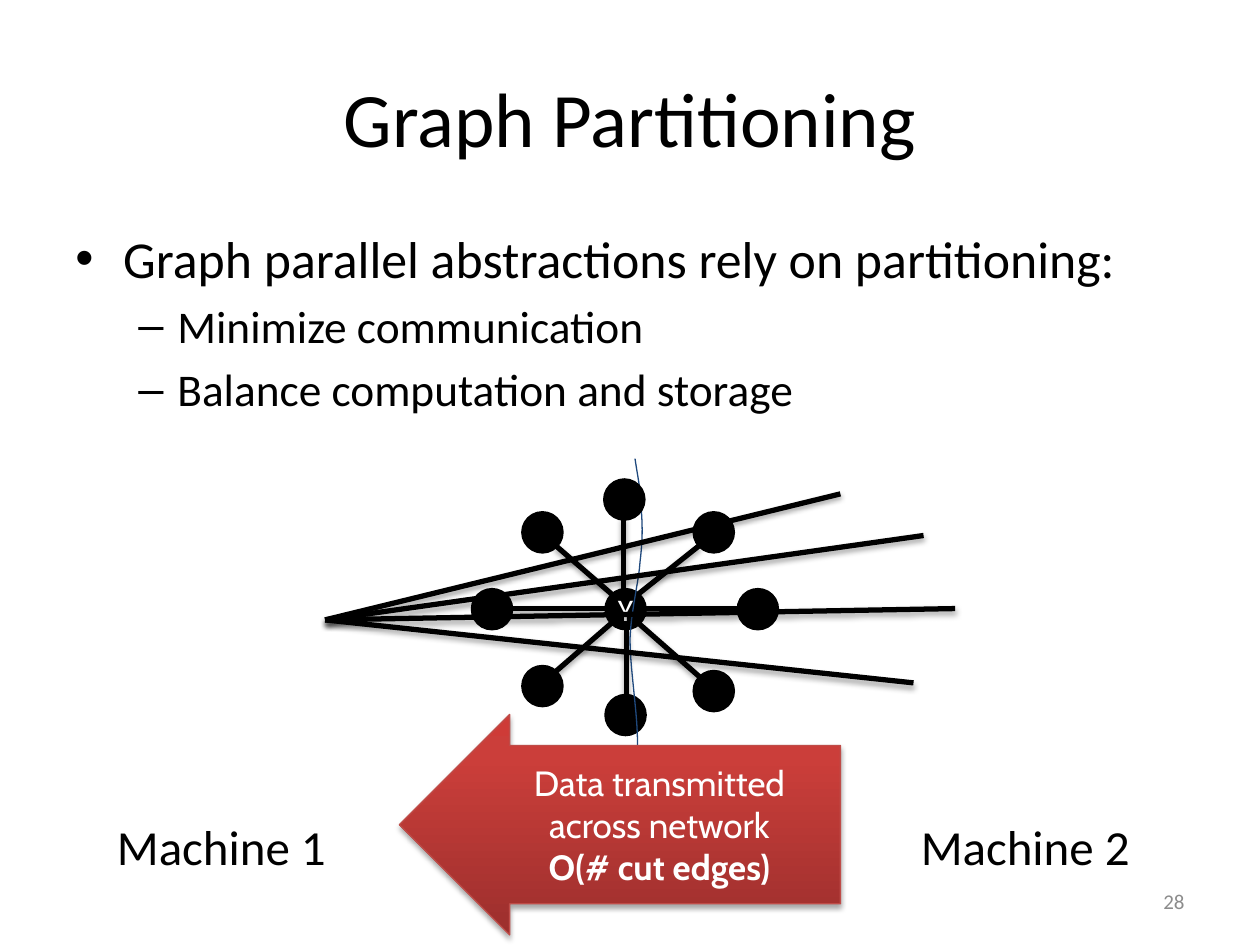
from dataclasses import dataclass

from lxml.etree import SubElement
from pptx import Presentation
from pptx.dml.color import RGBColor
from pptx.enum.shapes import MSO_CONNECTOR as Connector, MSO_SHAPE as Shape
from pptx.enum.text import MSO_ANCHOR as Anchor, PP_ALIGN as Align
from pptx.oxml import parse_xml
from pptx.oxml.ns import nsdecls, qn
from pptx.util import Inches, Pt


@dataclass(frozen=True)
class Theme:
    """Colours, fonts and type sizes of the slide."""
    ink: str = "000000"
    paper: str = "FFFFFF"
    muted: str = "8C8C8C"
    cut: str = "1F497D"
    arrow_edge: str = "BF4C48"
    arrow_stops: tuple = ((0, "9C2F2D"), (80, "CB3E3A"), (100, "CE3B37"))
    font: str = "Calibri"
    arrow_font: str = "Cabin"
    title: float = 44
    bullet: float = 29.6
    sub_bullet: float = 25.9
    machine: float = 28
    arrow: float = 20
    vertex: float = 18
    number: float = 12


THEME = Theme()
NODE = 0.31
LEFT_EDGES = [(4.41, 4.33, 4.86, 4.72), (4.05, 4.83, 4.81, 4.83),
              (4.97, 4.98, 4.97, 5.52), (4.86, 4.94, 4.41, 5.33)]
LEFT_NODES = [(4.81, 5.52), (3.75, 4.68), (4.15, 4.07), (4.15, 5.29)]
RIGHT_EDGES = [(5.06, 4.72, 5.55, 4.33), (4.95, 4.11, 4.95, 4.68),
               (5.1, 4.83, 5.86, 4.83), (5.06, 4.94, 5.55, 5.37)]
RIGHT_NODES = [(4.8, 3.81), (5.51, 5.33), (5.86, 4.68), (5.51, 4.07)]
CUT_EDGE_ORIGIN = (2.58, 4.92)
CUT_EDGE_ENDS = [(7.33, 4.25), (6.67, 3.92), (7.58, 4.83), (7.25, 5.42)]
CUT_START = (5.04, 3.64)
CUT_CURVES = [((5.06, 3.78), (5.09, 3.91), (5.09, 4.05)),
              ((5.1, 4.18), (5.1, 4.29), (5.08, 4.46)),
              ((5.07, 4.62), (5.01, 4.83), (5, 5.07)),
              ((5, 5.3), (5.06, 5.66), (5.06, 5.89)),
              ((5.06, 6.12), (5, 6.3), (5, 6.45))]


def rgb(value):
    """Turn a hex string into a colour."""
    return RGBColor.from_string(value)


def add_run(paragraph, wording, size, color=THEME.ink, font=THEME.font, bold=False):
    """Add one formatted run to a paragraph."""
    run = paragraph.add_run()
    run.text = wording
    run.font.size = Pt(size)
    run.font.name = font
    run.font.bold = bold
    run.font.color.rgb = rgb(color)


def add_label(slide, wording, box, size, align=Align.LEFT, anchor=Anchor.TOP,
              color=THEME.ink, wrap=True):
    """Add a one-paragraph text box."""
    frame = slide.shapes.add_textbox(*map(Inches, box)).text_frame
    frame.word_wrap = wrap
    frame.vertical_anchor = anchor
    frame.paragraphs[0].alignment = align
    add_run(frame.paragraphs[0], wording, size, color)


def add_bullets(slide, box, items):
    """Add a bulleted list of (wording, level, mark, margin, hang, size) items."""
    frame = slide.shapes.add_textbox(*map(Inches, box)).text_frame
    frame.word_wrap = True
    for index, (wording, level, mark, margin, hang, size) in enumerate(items):
        paragraph = frame.add_paragraph() if index else frame.paragraphs[0]
        paragraph.level = level
        if index:
            paragraph.space_before = Pt(size * 0.2)
        properties = paragraph._p.get_or_add_pPr()
        properties.set("marL", str(Inches(margin)))
        properties.set("indent", str(Inches(-hang)))
        SubElement(properties, qn("a:buFont")).set("typeface", "Arial")
        SubElement(properties, qn("a:buChar")).set("char", mark)
        add_run(paragraph, wording, size)


def add_shadow(shape):
    """Give a shape or connector a soft shadow below it."""
    shape._element.spPr.append(parse_xml(
        f'<a:effectLst {nsdecls("a")}><a:outerShdw blurRad="{Pt(3.1)}" dist="{Pt(1.8)}" '
        f'dir="5400000" rotWithShape="0"><a:srgbClr val="{THEME.ink}">'
        '<a:alpha val="35000"/></a:srgbClr></a:outerShdw></a:effectLst>'))


def add_edge(slide, x1, y1, x2, y2):
    """Draw a graph edge."""
    edge = slide.shapes.add_connector(Connector.STRAIGHT, *map(Inches, (x1, y1, x2, y2)))
    edge.line.color.rgb = rgb(THEME.ink)
    edge.line.width = Pt(3)
    add_shadow(edge)


def add_node(slide, left, top, name=None):
    """Draw a graph vertex, with its name if it has one."""
    node = slide.shapes.add_shape(Shape.OVAL, *map(Inches, (left, top, NODE, NODE)))
    node.shadow.inherit = False
    node.fill.solid()
    node.fill.fore_color.rgb = node.line.color.rgb = rgb(THEME.ink)
    node.line.width = Pt(2)
    if name:
        frame = node.text_frame
        frame.margin_left = frame.margin_right = frame.margin_top = frame.margin_bottom = 0
        frame.vertical_anchor = Anchor.MIDDLE
        frame.paragraphs[0].alignment = Align.CENTER
        add_run(frame.paragraphs[0], name, THEME.vertex, THEME.paper)


def curve_points(start, curves, steps=10):
    """List the points along a chain of cubic curves."""
    points = []
    for first, second, end in curves:
        for t in (step / steps for step in range(1, steps + 1)):
            weights = ((1 - t) ** 3, 3 * t * (1 - t) ** 2, 3 * t * t * (1 - t), t ** 3)
            corners = (start, first, second, end)
            points.append(tuple(Inches(sum(w * c[axis] for w, c in zip(weights, corners)))
                                for axis in (0, 1)))
        start = end
    return points


def add_cut(slide):
    """Draw the curve that separates the two machines."""
    builder = slide.shapes.build_freeform(*map(Inches, CUT_START))
    builder.add_line_segments(curve_points(CUT_START, CUT_CURVES), close=False)
    cut = builder.convert_to_shape()
    cut.shadow.inherit = False
    cut.fill.background()
    cut.line.color.rgb = rgb(THEME.cut)
    cut.line.width = Pt(0.75)


def add_data_arrow(slide, box, lines):
    """Draw the block arrow with (wording, bold) lines."""
    arrow = slide.shapes.add_shape(Shape.LEFT_ARROW, *map(Inches, box))
    arrow.adjustments[0], arrow.adjustments[1] = 0.718, 0.5
    arrow.line.color.rgb = rgb(THEME.arrow_edge)
    arrow.line.width = Pt(0.75)
    stops = "".join(f'<a:gs pos="{position * 1000}"><a:srgbClr val="{color}"/></a:gs>'
                    for position, color in THEME.arrow_stops)
    arrow._element.spPr.find(qn("a:prstGeom")).addnext(parse_xml(
        f'<a:gradFill {nsdecls("a")} rotWithShape="1"><a:gsLst>{stops}</a:gsLst>'
        '<a:lin ang="16200000" scaled="0"/></a:gradFill>'))
    add_shadow(arrow)
    frame = arrow.text_frame
    frame.word_wrap = False
    frame.vertical_anchor = Anchor.MIDDLE
    for index, (wording, bold) in enumerate(lines):
        paragraph = frame.add_paragraph() if index else frame.paragraphs[0]
        paragraph.alignment = Align.CENTER
        add_run(paragraph, wording, THEME.arrow, THEME.paper, THEME.arrow_font, bold)


def main():
    """Build and save the slide."""
    deck = Presentation()
    deck.slide_width, deck.slide_height = Inches(10), Inches(7.5)
    slide = deck.slides.add_slide(deck.slide_layouts[6])
    add_label(slide, "Graph Partitioning", (0.5, 0.3, 9, 1.25), THEME.title,
              Align.CENTER, Anchor.MIDDLE)
    add_bullets(slide, (0.5, 1.75, 9, 1.42), [
        ("Graph parallel abstractions rely on partitioning:", 0, "•", 0.38, 0.38, THEME.bullet),
        ("Minimize communication", 1, "–", 0.81, 0.31, THEME.sub_bullet),
        ("Balance computation and storage", 1, "–", 0.81, 0.31, THEME.sub_bullet)])
    for edge in LEFT_EDGES:
        add_edge(slide, *edge)
    add_node(slide, 4.81, 4.68, "Y")
    for node in LEFT_NODES:
        add_node(slide, *node)
    for edge in RIGHT_EDGES:
        add_edge(slide, *edge)
    add_cut(slide)
    for machine, left in (("Machine 1", 0.83), ("Machine 2", 7.21)):
        add_label(slide, machine, (left, 6.43, 1.88, 0.57), THEME.machine, wrap=False)
    for node in RIGHT_NODES:
        add_node(slide, *node)
    add_label(slide, "28", (7.17, 6.95, 2.33, 0.4), THEME.number,
              Align.RIGHT, Anchor.MIDDLE, THEME.muted)
    for end in CUT_EDGE_ENDS:
        add_edge(slide, *end, *CUT_EDGE_ORIGIN)
    add_data_arrow(slide, (3.17, 5.67, 3.5, 1.75), [
        ("Data transmitted", False), ("across network", False), ("O(# cut edges)", True)])
    deck.save("out.pptx")


if __name__ == "__main__":
    main()
